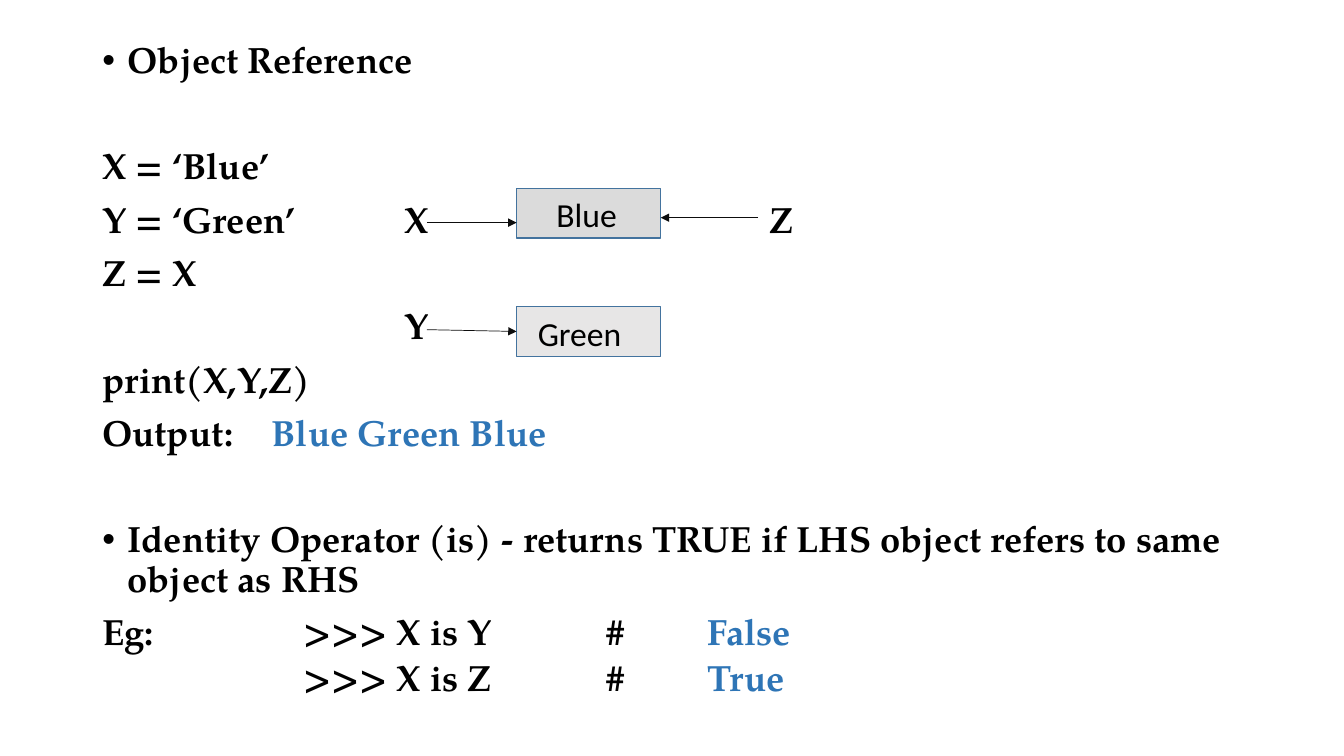
import pptx
import pptx.dml.color
import pptx.enum.shapes
import pptx.enum.text
import pptx.oxml.ns
import pptx.oxml.xmlchemy
import pptx.util
from dataclasses import dataclass

Pt = pptx.util.Pt
qn = pptx.oxml.ns.qn


@dataclass(frozen=True)
class Theme:
    ink: str = "000000"
    result: str = "2E75B6"
    arrow: str = "0D0D0D"
    border: str = "43739E"
    blue_fill: str = "DBDBDB"
    green_fill: str = "E7E6E6"
    body_font: str = "TeX Gyre Pagella"
    label_font: str = "Calibri"
    body_size: float = 26
    label_size: float = 24


THEME = Theme()
LINE_GAP = 10
SECTION_GAP = 48
NAME_TABS = (216, 476.5)
OUTPUT_TABS = (121,)
EXAMPLE_TABS = (144, 360, 432)


def rgb(value):
    return pptx.dml.color.RGBColor.from_string(value)


def sub(parent, tag, **attrs):
    el = pptx.oxml.xmlchemy.OxmlElement(tag)
    for name, value in attrs.items():
        el.set(name, str(value))
    parent.append(el)
    return el


def add_run(p, text, font=THEME.body_font, size=THEME.body_size,
            color=THEME.ink, bold=True):
    r = p.add_run()
    r.text = text
    r.font.name, r.font.size, r.font.bold = font, Pt(size), bold
    r.font.color.rgb = rgb(color)


def format_paragraph(p, before=LINE_GAP, bullet=False, tabs=()):
    p.line_spacing = 0.9
    p.space_before = Pt(before)
    pPr = p._p.get_or_add_pPr()
    if bullet:
        pPr.set("marL", str(Pt(18)))
        pPr.set("indent", str(-Pt(18)))
        sub(pPr, "a:buFont", typeface="Arial")
        sub(pPr, "a:buChar", char="•")
    if tabs:
        tab_list = sub(pPr, "a:tabLst")
        for pos in tabs:
            sub(tab_list, "a:tab", pos=Pt(pos), algn="l")


def add_body(slide, x, y, w, h):
    """Each line is its text, its blue result and its paragraph format."""
    lines = [
        ("Object Reference", "", dict(bullet=True)),
        ("X = ‘Blue’", "", dict(before=SECTION_GAP)),
        ("Y = ‘Green’\tX\tZ", "", dict(tabs=NAME_TABS)),
        ("Z = X", "", {}),
        ("\tY", "", dict(tabs=NAME_TABS)),
        ("print(X,Y,Z)", "", {}),
        ("Output:\t", "Blue Green Blue", dict(tabs=OUTPUT_TABS)),
        ("Identity Operator (is) - returns TRUE if LHS object refers to same "
         "object as RHS", "", dict(before=SECTION_GAP, bullet=True)),
        ("Eg:\t>>> X is Y\t#\t", "False", dict(tabs=EXAMPLE_TABS)),
        ("\t>>> X is Z\t#\t", "True", dict(before=5, tabs=EXAMPLE_TABS)),
    ]
    tf = slide.shapes.add_textbox(Pt(x), Pt(y), Pt(w), Pt(h)).text_frame
    tf.word_wrap = True
    for i, (text, result, fmt) in enumerate(lines):
        p = tf.add_paragraph() if i else tf.paragraphs[0]
        format_paragraph(p, **fmt)
        add_run(p, text)
        if result:
            add_run(p, result, color=THEME.result)


def add_object_box(slide, x, y, w, h, text, fill, shift_left, shift_down):
    sp = slide.shapes.add_shape(pptx.enum.shapes.MSO_SHAPE.RECTANGLE,
                                Pt(x), Pt(y), Pt(w), Pt(h))
    sp.shadow.inherit = False
    sp.fill.solid()
    sp.fill.fore_color.rgb = rgb(fill)
    sp.line.color.rgb = rgb(THEME.border)
    sp.line.width = Pt(1)
    tf = sp.text_frame
    tf.vertical_anchor = pptx.enum.text.MSO_ANCHOR.MIDDLE
    tf.margin_left = tf.margin_bottom = 0
    tf.margin_right, tf.margin_top = Pt(2 * shift_left), Pt(2 * shift_down)
    p = tf.paragraphs[0]
    p.alignment = pptx.enum.text.PP_ALIGN.CENTER
    add_run(p, text, THEME.label_font, THEME.label_size, bold=False)
    return sp


def add_arrow(slide, x1, y1, x2, y2):
    c = slide.shapes.add_connector(pptx.enum.shapes.MSO_CONNECTOR.STRAIGHT,
                                   Pt(x1), Pt(y1), Pt(x2), Pt(y2))
    c.line.color.rgb = rgb(THEME.arrow)
    c.line.width = Pt(0.5)
    spPr = c._element.find(qn("p:spPr"))
    sub(spPr.find(qn("a:ln")), "a:tailEnd", type="triangle")
    sub(spPr, "a:effectLst")
    return c


def add_reference_diagram(slide, x, y, w, h):
    """Two object boxes, with arrows from the names that refer to them."""
    box_x, box_w, box_h = x + 64, 103, 35.5
    green_y = y + h - box_h
    add_object_box(slide, box_x, y, box_w, box_h, "Blue",
                   THEME.blue_fill, 1.5, 1)
    green = add_object_box(slide, box_x, green_y, box_w, box_h, "Green",
                           THEME.green_fill, 6.5, 1.5)
    add_arrow(slide, x, y + 24.5, box_x, y + 24.5)
    add_arrow(slide, x + w, y + 21, box_x + box_w, y + 21)
    y_arrow = add_arrow(slide, x, green_y + 16.5, box_x, green_y + box_h / 2)
    y_arrow.end_connect(green, 1)


def main():
    prs = pptx.Presentation()
    prs.slide_width, prs.slide_height = Pt(960), Pt(540)
    slide = prs.slides.add_slide(prs.slide_layouts[6])
    add_body(slide, 66, 26.5, 828, 495)
    add_reference_diagram(slide, 305, 134.5, 236.5, 120)
    prs.save("out.pptx")


if __name__ == "__main__":
    main()
